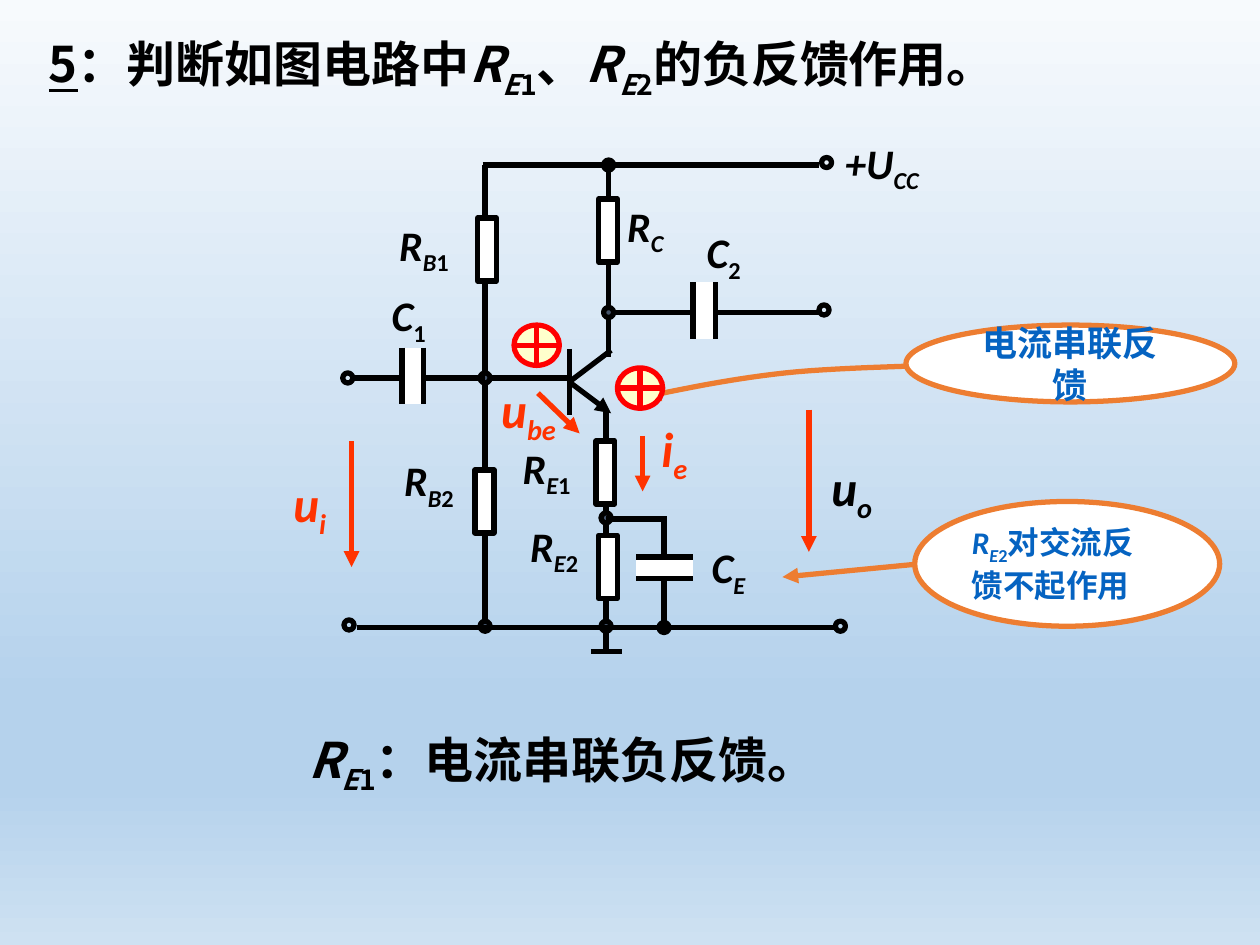
from lxml.etree import SubElement
from pptx import Presentation
from pptx.dml.color import RGBColor
from pptx.enum.shapes import MSO_CONNECTOR, MSO_SHAPE as Kind
from pptx.enum.text import MSO_ANCHOR, PP_ALIGN
from pptx.oxml.ns import qn
from pptx.util import Inches, Pt

color = RGBColor.from_string
BLACK, WHITE, RED, ORANGE, BLUE = "000000", "FFFFFF", "FF3300", "ED7D31", "0563C1"
CJK = "Noto Sans CJK SC"

deck = Presentation()
deck.slide_width, deck.slide_height = Inches(10), Inches(7.5)
page = deck.slides.add_slide(deck.slide_layouts[6])


def draw_line(x1, y1, x2, y2, line_color=BLACK, arrow=False):
    line = page.shapes.add_connector(
        MSO_CONNECTOR.STRAIGHT, Inches(x1), Inches(y1), Inches(x2), Inches(y2))
    line.line.color.rgb = color(line_color)
    line.line.width = Pt(3)
    if arrow:
        SubElement(line.line._get_or_add_ln(), qn("a:tailEnd"), type="triangle")
    SubElement(line.element.spPr, qn("a:effectLst"))


def write(frame, spans, size, text_color=BLACK, font="Calibri"):
    """Add (text, style) spans; style letters: i italic, s subscript, u underline."""
    frame.word_wrap = True
    para = frame.paragraphs[0]
    para.alignment = PP_ALIGN.LEFT
    for text, style in spans:
        span = para.add_run()
        span.text = text
        span.font.size = Pt(size)
        span.font.bold = True
        span.font.italic = "i" in style
        span.font.underline = "u" in style
        span.font.color.rgb = color(text_color)
        span.font.name = font
        props = span.font._element
        SubElement(props, qn("a:ea"), typeface=CJK)
        if "s" in style:
            props.set("baseline", "-25000")


# Background gradient, top to bottom
background = page.background.fill
background.gradient()
background.gradient_angle = 270
stops = page.element.find(".//" + qn("a:gsLst"))
for old_stop in list(stops):
    stops.remove(old_stop)
for percent, shade in [(0, "F7FAFD"), (74, "B5D2EC"), (83, "B5D2EC"), (100, "CEE1F2")]:
    stop = SubElement(stops, qn("a:gs"), pos=str(percent * 1000))
    SubElement(stop, qn("a:srgbClr"), val=shade)

# Transistor and the wires that run behind the parts
draw_line(4.52, 2.77, 4.52, 3.29)
draw_line(4.52, 3.03, 4.85, 2.78)
draw_line(4.53, 3.04, 4.85, 3.28, arrow=True)
for wire in [(3.85, 1.31, 3.85, 4.98), (4.52, 3, 3.85, 3), (4.81, 3.27, 4.81, 4.99),
             (4.83, 2.83, 4.83, 1.31), (4.81, 2.48, 6.5, 2.48)]:
    draw_line(*wire)

# Voltage and current arrows
for arrow in [(2.79, 3.5, 2.79, 4.5), (6.42, 3.25, 6.42, 4.38),
              (5.1, 3.46, 5.1, 3.9), (4.27, 3.12, 4.6, 3.44)]:
    draw_line(*arrow, RED, arrow=True)

# Callout pointers: one straight, one curved
draw_line(7.25, 4.48, 6.21, 4.58, ORANGE, arrow=True)
curve = []
for p0, p1, p2, p3 in [((5.12, 3.15), (5.49, 3.07), (5.86, 3), (6.23, 2.96)),
                       ((6.23, 2.96), (6.6, 2.92), (7.17, 2.91), (7.35, 2.9))]:
    for step in range(13):
        t = step / 12
        curve.append([Inches((1 - t) ** 3 * a + 3 * t * (1 - t) ** 2 * b
                             + 3 * t ** 2 * (1 - t) * c + t ** 3 * d)
                      for a, b, c, d in zip(p0, p1, p2, p3)])
builder = page.shapes.build_freeform(*curve[0])
builder.add_line_segments(curve[1:], close=False)
pointer = builder.convert_to_shape()
pointer.shadow.inherit = False
pointer.fill.background()
pointer.line.color.rgb = color(ORANGE)
pointer.line.width = Pt(3)
SubElement(pointer.line._get_or_add_ln(), qn("a:headEnd"), type="triangle")

# Nodes, terminals, resistors, capacitor gaps, polarity marks, callouts
nodes = [(3.81, 4.93), (5.23, 4.94), (4.79, 2.44), (3.81, 2.96),
         (4.79, 1.27), (4.77, 4.07), (4.77, 4.93)]
terminals = [(6.52, 1.25), (6.5, 2.42), (6.63, 4.93), (2.73, 4.92), (2.72, 2.96)]
resistors = [(3.79, 1.73), (4.75, 1.58), (3.77, 3.73), (4.73, 3.5), (4.75, 4.25)]
upright_gaps = [(5.52, 2.26), (3.21, 2.78)]
polarity_marks = [(4.08, 2.58), (4.9, 2.92)]
drawn = []
for kind, places, width, height, fill, outline in [
        (Kind.OVAL, nodes, 0.08, 0.08, "44546A", BLACK),
        (Kind.OVAL, terminals, 0.08, 0.08, None, BLACK),
        (Kind.RECTANGLE, resistors, 0.15, 0.5, WHITE, BLACK),
        (Kind.RECTANGLE, upright_gaps, 0.15, 0.41, WHITE, WHITE),
        (Kind.RECTANGLE, [(5.07, 4.43)], 0.41, 0.15, WHITE, WHITE),
        (Kind.FLOWCHART_OR, polarity_marks, 0.36, 0.32, "FFFFCC", "FF0000"),
        (Kind.OVAL, [(7.19, 2.58)], 2.61, 0.61, WHITE, ORANGE),
        (Kind.OVAL, [(7.26, 3.98)], 2.42, 0.99, WHITE, ORANGE)]:
    for x, y in places:
        part = page.shapes.add_shape(kind, Inches(x), Inches(y), Inches(width), Inches(height))
        part.shadow.inherit = False
        part.line.color.rgb = color(outline)
        part.line.width = Pt(3)
        if fill:
            part.fill.solid()
            part.fill.fore_color.rgb = color(fill)
        else:
            part.fill.background()
        drawn.append(part)

# Rails and branches over the nodes, capacitor plates, ground
for wire in [(2.83, 4.98, 6.63, 4.98), (3.83, 1.31, 6.5, 1.31),
             (2.8, 3, 3.19, 3), (3.36, 3, 3.85, 3),
             (4.81, 4.12, 5.29, 4.12), (5.27, 4.12, 5.27, 4.42), (5.27, 4.59, 5.27, 4.98),
             (5.05, 4.42, 5.5, 4.42), (5.05, 4.59, 5.5, 4.59),
             (4.81, 4.98, 4.81, 5.17), (4.69, 5.17, 4.94, 5.17)]:
    draw_line(*wire)
for plate_x, plate_y in [(3.19, 2.76), (3.36, 2.76), (5.5, 2.24), (5.68, 2.24)]:
    draw_line(plate_x, plate_y, plate_x, plate_y + 0.45)

# Callout text
current_callout, bypass_callout = drawn[-2:]
write(current_callout.text_frame, [("电流串联反馈", "")], 20, BLUE)
current_callout.text_frame.paragraphs[0].alignment = PP_ALIGN.CENTER
write(bypass_callout.text_frame,
      [("R", "i"), ("E", "is"), ("2", "s"), ("对交流反馈不起作用", "")], 18, BLUE)
for callout in (current_callout, bypass_callout):
    callout.text_frame.vertical_anchor = MSO_ANCHOR.MIDDLE

# Labels: symbol, italic subscript, upright subscript
for x, y, symbol, letters, digit, size, shade in [
        (4.88, 1.54, "R", "C", "", 24, BLACK),
        (3.07, 1.69, "R", "B", "1", 24, BLACK),
        (3.11, 3.56, "R", "B", "2", 24, BLACK),
        (4.05, 3.46, "R", "E", "1", 24, BLACK),
        (4.11, 4.08, "R", "E", "2", 24, BLACK),
        (5.55, 4.25, "C", "E", "", 24, BLACK),
        (5.51, 1.75, "C", "", "2", 24, BLACK),
        (3.01, 2.25, "C", "", "1", 24, BLACK),
        (6.61, 1.04, "+U", "CC", "", 24, BLACK),
        (6.5, 3.58, "u", "o", "", 28, BLACK),
        (2.23, 3.71, "u", "i", "", 28, RED),
        (3.88, 2.96, "u", "be", "", 28, RED),
        (5.15, 3.27, "i", "e", "", 28, RED)]:
    box = page.shapes.add_textbox(Inches(x), Inches(y), Inches(1.04), Inches(size / 50))
    spans = [(symbol, "i"), (letters, "is"), (digit, "s")]
    write(box.text_frame, [span for span in spans if span[0]], size, shade)

# Question and answer
question = [("5", "u"), ("：判断如图电路中", ""), ("R", "i"), ("E", "is"), ("1", "s"),
            ("、", ""), ("R", "i"), ("E", "is"), ("2", "s"), ("的负反馈作用。", "")]
answer = [("R", "i"), ("E", "is"), ("1", "s"), ("：电流串联负反馈。", "")]
for x, y, width, spans in [(0.29, 0.22, 8.19, question), (2.35, 5.74, 5.23, answer)]:
    box = page.shapes.add_textbox(Inches(x), Inches(y), Inches(width), Inches(0.57))
    write(box.text_frame, spans, 28, font=CJK)

deck.save("out.pptx")
